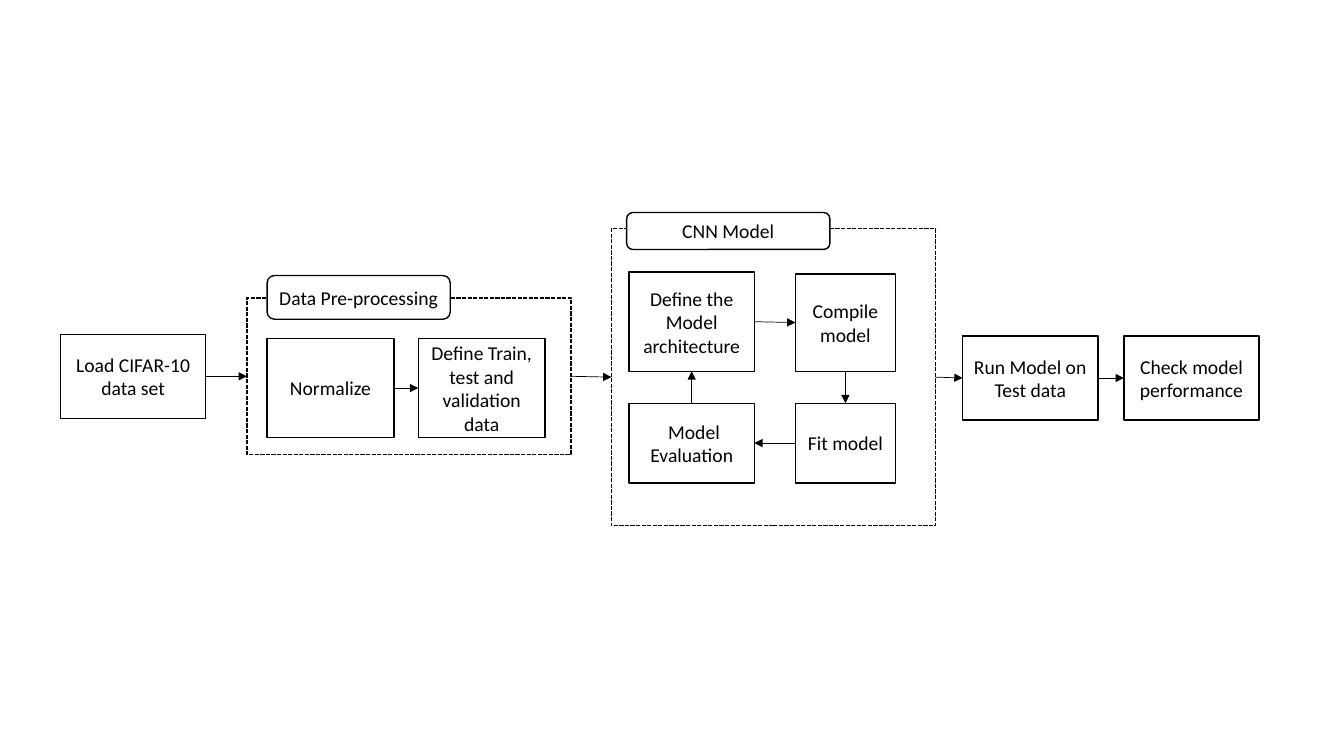
from lxml.etree import SubElement
from pptx import Presentation
from pptx.dml.color import RGBColor
from pptx.enum.dml import MSO_LINE
from pptx.enum.shapes import MSO_CONNECTOR, MSO_SHAPE
from pptx.enum.text import MSO_ANCHOR, PP_ALIGN
from pptx.oxml.ns import qn
from pptx.util import Inches, Pt

BLACK = RGBColor(0x00, 0x00, 0x00)
WHITE = RGBColor(0xFF, 0xFF, 0xFF)
COLUMNS, ROWS = 160, 90
TOP, LEFT, BOTTOM, RIGHT = range(4)


class FlowDiagram:
    """Draws boxes and arrows in one style on a grid of columns and rows."""

    def __init__(self, deck):
        self.slide = deck.slides.add_slide(deck.slide_layouts[6])
        self.column = deck.slide_width / COLUMNS
        self.row = deck.slide_height / ROWS
        self.font_name, self.font_size = "Calibri", Pt(14)

    def box(self, column, row, columns, rows, text="", outline=MSO_SHAPE.RECTANGLE):
        """Add a white box with a black border and centred text."""
        box = self.slide.shapes.add_shape(
            outline,
            round(column * self.column), round(row * self.row),
            round(columns * self.column), round(rows * self.row))
        box.shadow.inherit = False
        box.fill.solid()
        box.fill.fore_color.rgb = WHITE
        box.line.color.rgb = BLACK
        box.line.width = Pt(1)
        if text:
            frame = box.text_frame
            frame.word_wrap = True
            frame.vertical_anchor = MSO_ANCHOR.MIDDLE
            paragraph = frame.paragraphs[0]
            paragraph.text = text
            paragraph.alignment = PP_ALIGN.CENTER
            paragraph.font.name = self.font_name
            paragraph.font.size = self.font_size
            paragraph.font.color.rgb = BLACK
        return box

    def stage(self, *area):
        """Add an empty dashed frame."""
        frame = self.box(*area)
        frame.line.dash_style = MSO_LINE.SQUARE_DOT
        return frame

    def label(self, column, row, columns, rows, text):
        """Add a rounded heading."""
        return self.box(column, row, columns, rows, text, MSO_SHAPE.ROUNDED_RECTANGLE)

    def arrow(self, source, target, leave=RIGHT, enter=LEFT):
        """Connect the middles of two box sides with an arrow."""
        arrow = self.slide.shapes.add_connector(MSO_CONNECTOR.STRAIGHT, 0, 0, 0, 0)
        arrow.begin_connect(source, leave)
        arrow.end_connect(target, enter)
        arrow.line.color.rgb = BLACK
        arrow.line.width = Pt(0.5)
        SubElement(arrow.line._get_or_add_ln(), qn("a:tailEnd"), type="triangle")
        SubElement(arrow._element.spPr, qn("a:effectLst"))


def main():
    """Build and save the model training workflow."""
    deck = Presentation()
    deck.slide_width, deck.slide_height = Inches(13.33), Inches(7.5)
    flow = FlowDiagram(deck)

    load = flow.box(7.2, 39.8, 17.3, 10, "Load CIFAR-10 data set")

    preprocessing = flow.stage(29.4, 35.5, 38.6, 18.6)
    normalize, split = [
        flow.box(column, 40.3, 15.1, 11.8, text)
        for column, text in ((31.8, "Normalize"),
                             (49.8, "Define Train, test and validation data"))]
    flow.label(31.8, 32.8, 21.8, 5.2, "Data Pre-processing")

    cnn = flow.stage(72.8, 27.2, 38.6, 35.4)
    define = flow.box(74.9, 32.4, 14.9, 11.8, "Define the Model architecture")
    compiling = flow.box(94.7, 32.6, 11.9, 11.6, "Compile model")
    flow.label(74.6, 25.3, 24.2, 4.4, "CNN Model")
    fit = flow.box(94.7, 48, 11.9, 9.5, "Fit model")
    evaluation = flow.box(74.9, 48, 14.9, 9.5, " Model Evaluation")

    run, check = [
        flow.box(column, 40, 16.1, 10, text)
        for column, text in ((114.6, "Run Model on Test data"),
                             (133.8, "Check model performance"))]

    flow.arrow(define, compiling)
    flow.arrow(compiling, fit, BOTTOM, TOP)
    flow.arrow(fit, evaluation, LEFT, RIGHT)
    flow.arrow(evaluation, define, TOP, BOTTOM)
    flow.arrow(normalize, split)
    steps = [load, preprocessing, cnn, run, check]
    for source, target in zip(steps, steps[1:]):
        flow.arrow(source, target)

    deck.save("out.pptx")


if __name__ == "__main__":
    main()
